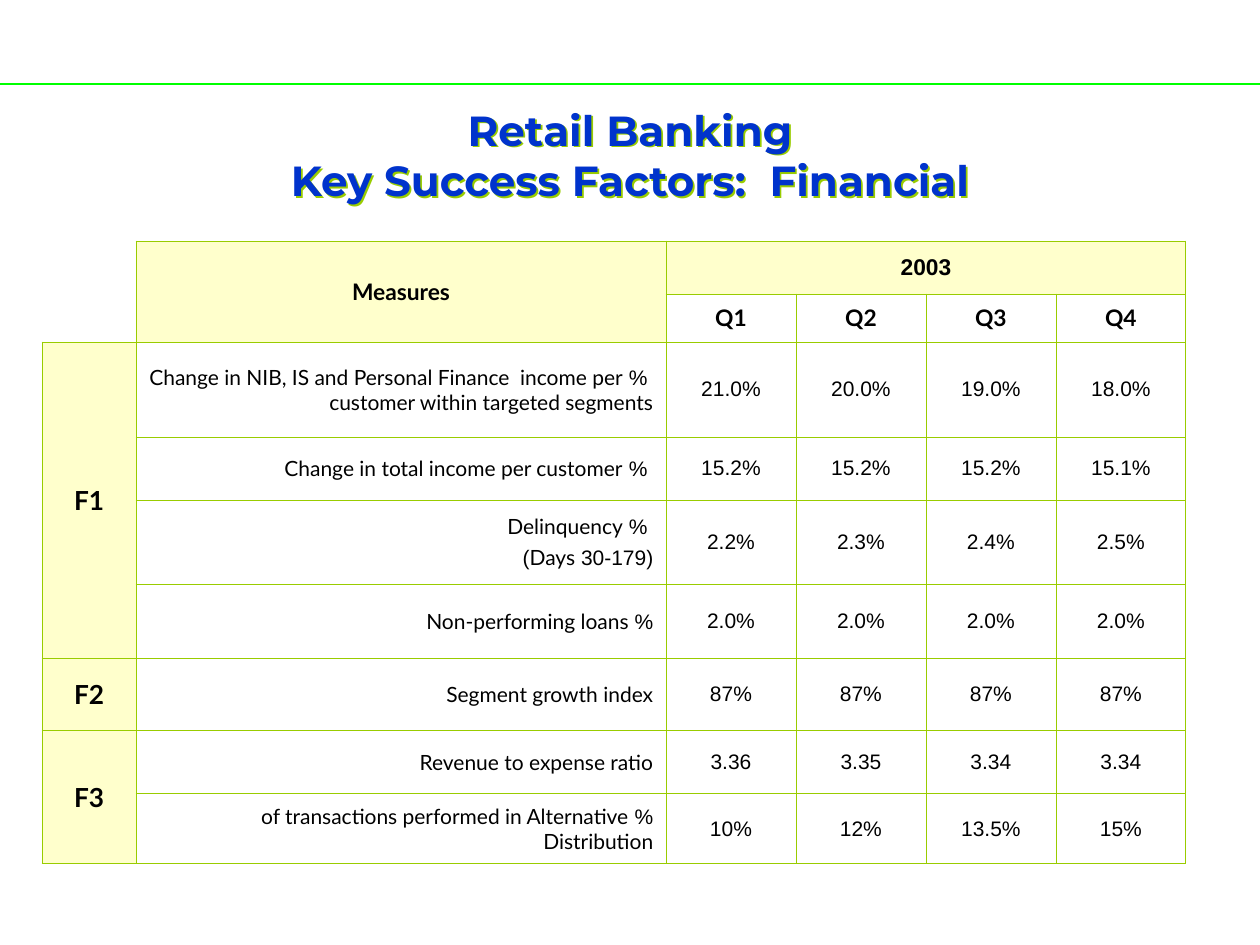
from dataclasses import dataclass

from lxml.etree import SubElement
from pptx import Presentation
from pptx.dml.color import RGBColor
from pptx.enum.shapes import MSO_CONNECTOR
from pptx.enum.text import MSO_ANCHOR, PP_ALIGN
from pptx.oxml.ns import qn
from pptx.util import Pt

EMU_PER_PX = 914400 / 126
SLIDE_WIDTH, SLIDE_HEIGHT = 1260, 945


@dataclass(frozen=True)
class Theme:
    title_color: str = "0033CC"
    text_color: str = "000000"
    accent: str = "99CC00"
    rule_color: str = "00FF00"
    header_fill: str = "FFFFCC"
    plain_fill: str = "FFFFFF"
    title_font: str = "Montserrat"
    body_font: str = "Lato"
    number_font: str = "Arial"
    title_size: int = 24
    factor_size: int = 15
    header_size: int = 13
    body_size: int = 12


THEME = Theme()

COLUMN_WIDTHS = [94, 530] + [130] * 4
ROW_HEIGHTS = [53, 48, 95, 63, 84, 74, 73, 63, 70]
QUARTERS = ["Q1", "Q2", "Q3", "Q4"]
# Each factor holds its measures: lines of wording, then quarterly values.
# Wording is in logical order for right-to-left paragraphs.
FACTORS = {
    "F1": [
        ([" % Change in NIB, IS and Personal Finance  income per customer "
          "within targeted segments"], ["21.0%", "20.0%", "19.0%", "18.0%"]),
        ([" % Change in total income per customer"],
         ["15.2%", "15.2%", "15.2%", "15.1%"]),
        ([" % Delinquency", "(30-179 Days)"], ["2.2%", "2.3%", "2.4%", "2.5%"]),
        (["% Non-performing loans "], ["2.0%"] * 4),
    ],
    "F2": [(["Segment growth index"], ["87%"] * 4)],
    "F3": [
        (["Revenue to expense ratio"], ["3.36", "3.35", "3.34", "3.34"]),
        (["% of transactions performed in Alternative Distribution"],
         ["10%", "12%", "13.5%", "15%"]),
    ],
}


def px(length):
    return round(length * EMU_PER_PX)


def color(value):
    return RGBColor.from_string(value)


def add_run(paragraph, text, font, size, text_color, bold):
    run = paragraph.add_run()
    run.text = text
    run.font.name = font
    run.font.size = Pt(size)
    run.font.bold = bold
    run.font.color.rgb = color(text_color)
    return run


def set_borders(cell, hidden=""):
    properties = cell._tc.get_or_add_tcPr()
    for side in "LRTB":
        line = SubElement(properties, qn(f"a:ln{side}"), w=str(Pt(0.45)))
        if side in hidden:
            SubElement(line, qn("a:noFill"))
        else:
            fill = SubElement(line, qn("a:solidFill"))
            SubElement(fill, qn("a:srgbClr"), val=THEME.accent)


def write_cell(cell, lines, size=THEME.body_size, bold=False,
               align=PP_ALIGN.CENTER, fill=THEME.plain_fill):
    cell.fill.solid()
    cell.fill.fore_color.rgb = color(fill)
    cell.vertical_anchor = MSO_ANCHOR.MIDDLE
    frame = cell.text_frame
    for index, text in enumerate(lines):
        paragraph = frame.add_paragraph() if index else frame.paragraphs[0]
        paragraph.alignment = align
        paragraph._p.get_or_add_pPr().set("rtl", "1")
        if index:
            paragraph.space_before = Pt(3)
        run = add_run(paragraph, text, THEME.body_font, size,
                      THEME.text_color, bold)
        SubElement(run._r.get_or_add_rPr(), qn("a:cs"),
                   typeface=THEME.number_font)


def add_measures_table(slide, left, top):
    table = slide.shapes.add_table(
        len(ROW_HEIGHTS), len(COLUMN_WIDTHS), px(left), px(top),
        px(sum(COLUMN_WIDTHS)), px(sum(ROW_HEIGHTS))).table
    table.first_row = table.horz_banding = False
    for column, width in zip(table.columns, COLUMN_WIDTHS):
        column.width = px(width)
    for row, height in zip(table.rows, ROW_HEIGHTS):
        row.height = px(height)

    # Grid lines; the two corner cells stay open to the left and top
    corner_hidden = {(0, 0): "LTB", (1, 0): "LT"}
    for row in range(len(ROW_HEIGHTS)):
        for column in range(len(COLUMN_WIDTHS)):
            set_borders(table.cell(row, column),
                        corner_hidden.get((row, column), ""))
    for row, column in corner_hidden:
        corner = table.cell(row, column)
        write_cell(corner, [])
        SubElement(corner.text_frame.paragraphs[0]._p, qn("a:endParaRPr"),
                   sz=str(THEME.body_size * 100))

    # Column headings
    heading = {"size": THEME.header_size, "bold": True}
    table.cell(0, 1).merge(table.cell(1, 1))
    table.cell(0, 2).merge(table.cell(0, 5))
    write_cell(table.cell(0, 1), ["Measures"], fill=THEME.header_fill, **heading)
    write_cell(table.cell(0, 2), ["2003"], fill=THEME.header_fill, **heading)
    for column, quarter in enumerate(QUARTERS, 2):
        write_cell(table.cell(1, column), [quarter], **heading)

    # Factors with their measures
    row = 2
    for factor, measures in FACTORS.items():
        factor_cell = table.cell(row, 0)
        if len(measures) > 1:
            factor_cell.merge(table.cell(row + len(measures) - 1, 0))
        write_cell(factor_cell, [factor], THEME.factor_size, True,
                   fill=THEME.header_fill)
        for lines, values in measures:
            write_cell(table.cell(row, 1), lines, align=PP_ALIGN.RIGHT)
            for column, value in enumerate(values, 2):
                write_cell(table.cell(row, column), [value])
            row += 1


def add_title(slide, left, top, width, height):
    shape = slide.shapes.add_textbox(px(left), px(top), px(width), px(height))
    shape.fill.background()
    frame = shape.text_frame
    frame.word_wrap = True
    lines = ["Retail Banking", "Key Success Factors:  Financial"]
    for index, text in enumerate(lines):
        paragraph = frame.add_paragraph() if index else frame.paragraphs[0]
        paragraph.alignment = PP_ALIGN.CENTER
        add_run(paragraph, text, THEME.title_font, THEME.title_size,
                THEME.title_color, True)
    # Green shadow behind the letters
    effects = SubElement(shape._element.spPr, qn("a:effectLst"))
    shadow = SubElement(effects, qn("a:outerShdw"), dist="18000",
                        dir="2700000", algn="ctr", rotWithShape="0")
    SubElement(shadow, qn("a:srgbClr"), val=THEME.accent)


def add_top_rule(slide, left, top, width):
    rule = slide.shapes.add_connector(
        MSO_CONNECTOR.STRAIGHT, px(left), px(top), px(left + width), px(top))
    rule.line.color.rgb = color(THEME.rule_color)
    rule.line.width = Pt(1)
    SubElement(rule._element.spPr, qn("a:effectLst"))


def main():
    presentation = Presentation()
    presentation.slide_width = px(SLIDE_WIDTH)
    presentation.slide_height = px(SLIDE_HEIGHT)
    slide = presentation.slides.add_slide(presentation.slide_layouts[6])
    add_measures_table(slide, 42, 241)
    add_title(slide, 0, 98, SLIDE_WIDTH, 113)
    add_top_rule(slide, 0, 84, SLIDE_WIDTH)
    presentation.save("out.pptx")


if __name__ == "__main__":
    main()
